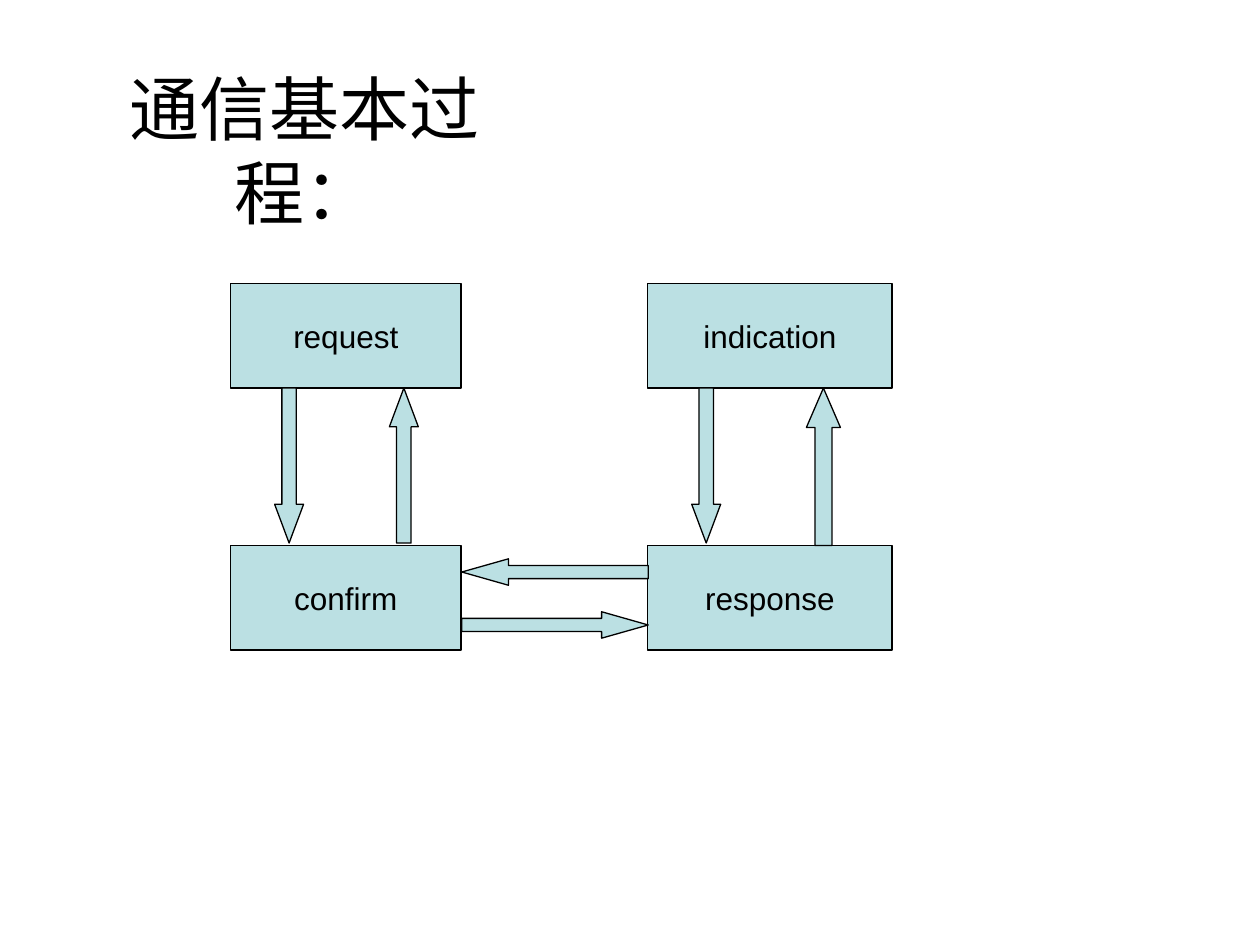
"""Build a slide showing the basic communication process between four primitives."""
import dataclasses

import pptx
import pptx.dml.color
import pptx.enum.shapes
import pptx.enum.text
import pptx.oxml.ns
import pptx.slide
import pptx.util

Inches = pptx.util.Inches
COLORS = {"fill": "BBE0E3", "ink": "000000"}
BOX_HEIGHT = 0.83
TOP_ROW, BOTTOM_ROW = 2.25, 4.33
LEFT_COLUMN, RIGHT_COLUMN = (1.83, 1.83), (5.14, 1.94)
FRAME_FORMAT = {
    "vertical_anchor": pptx.enum.text.MSO_ANCHOR.MIDDLE,
    "auto_size": pptx.enum.text.MSO_AUTO_SIZE.NONE,
    "margin_left": Inches(0.1),
    "margin_right": Inches(0.1),
    "margin_top": Inches(0.05),
    "margin_bottom": Inches(0.05),
}


@dataclasses.dataclass(frozen=True)
class Box:
    """A labelled primitive."""
    label: str
    column: tuple[float, float]
    top: float


@dataclasses.dataclass(frozen=True)
class Arrow:
    """A block arrow, measured before it is turned."""
    left: float
    top: float
    width: float
    length: float
    rotation: int = 0


BOXES = [
    Box("request", LEFT_COLUMN, TOP_ROW),
    Box("response", RIGHT_COLUMN, BOTTOM_ROW),
    Box("confirm", LEFT_COLUMN, BOTTOM_ROW),
    Box("indication", RIGHT_COLUMN, TOP_ROW),
]
ARROWS = [
    Arrow(2.18, 3.08, 0.23, 1.23),
    Arrow(4.3, 4.22, 0.21, 1.48, 270),
    Arrow(6.4, 3.08, 0.27, 1.25, 180),
    Arrow(4.3, 3.8, 0.21, 1.48, 90),
    Arrow(5.49, 3.08, 0.23, 1.23),
    Arrow(3.09, 3.08, 0.23, 1.23, 180),
]


def color(name: str) -> pptx.dml.color.RGBColor:
    """Look up a named colour."""
    return pptx.dml.color.RGBColor.from_string(COLORS[name])


def write_text(shape, text: str, size: int, wrap: bool) -> None:
    """Put centred text into a shape, with no punctuation hanging past its edge."""
    frame = shape.text_frame
    for name, value in FRAME_FORMAT.items():
        setattr(frame, name, value)
    frame.word_wrap = wrap
    para = frame.paragraphs[0]
    para.alignment = pptx.enum.text.PP_ALIGN.CENTER
    for properties in shape.element.iter(pptx.oxml.ns.qn("a:pPr")):
        properties.set("hangingPunct", "0")
    span = para.add_run()
    span.text = text
    for name, value in {"name": "Arial", "size": pptx.util.Pt(size)}.items():
        setattr(span.font, name, value)
    span.font.color.rgb = color("ink")


def add_block(page: pptx.slide.Slide, kind: str, *bounds: float):
    """Add a filled and outlined preset shape."""
    preset = pptx.enum.shapes.MSO_SHAPE[kind]
    shape = page.shapes.add_shape(preset, *map(Inches, bounds))
    shape.shadow.inherit = False
    shape.fill.solid()
    shape.fill.fore_color.rgb = color("fill")
    shape.line.color.rgb = color("ink")
    shape.line.width = pptx.util.Pt(0.75)
    return shape


def add_box(page: pptx.slide.Slide, box: Box) -> None:
    """Draw one primitive."""
    left, width = box.column
    shape = add_block(page, "RECTANGLE", left, box.top, width, BOX_HEIGHT)
    write_text(shape, box.label, 18, False)


def add_arrow(page: pptx.slide.Slide, arrow: Arrow) -> None:
    """Draw one arrow whose head takes a quarter of its length."""
    shape = add_block(page, "DOWN_ARROW", arrow.left, arrow.top, arrow.width, arrow.length)
    shape.adjustments[0] = 0.5
    shape.adjustments[1] = arrow.length / 4 / arrow.width
    shape.rotation = arrow.rotation


def main() -> None:
    """Build and save the deck."""
    deck = pptx.Presentation()
    deck.slide_width, deck.slide_height = Inches(10), Inches(7.5)
    page = deck.slides.add_slide(deck.slide_layouts[5])
    title = page.shapes.title
    bounds = {"left": 0.5, "top": 0.83, "width": 3.83, "height": 0.72}
    for name, value in bounds.items():
        setattr(title, name, Inches(value))
    write_text(title, "通信基本过程：", 40, True)
    for box in BOXES:
        add_box(page, box)
    for arrow in ARROWS:
        add_arrow(page, arrow)
    deck.save("out.pptx")


if __name__ == "__main__":
    main()
